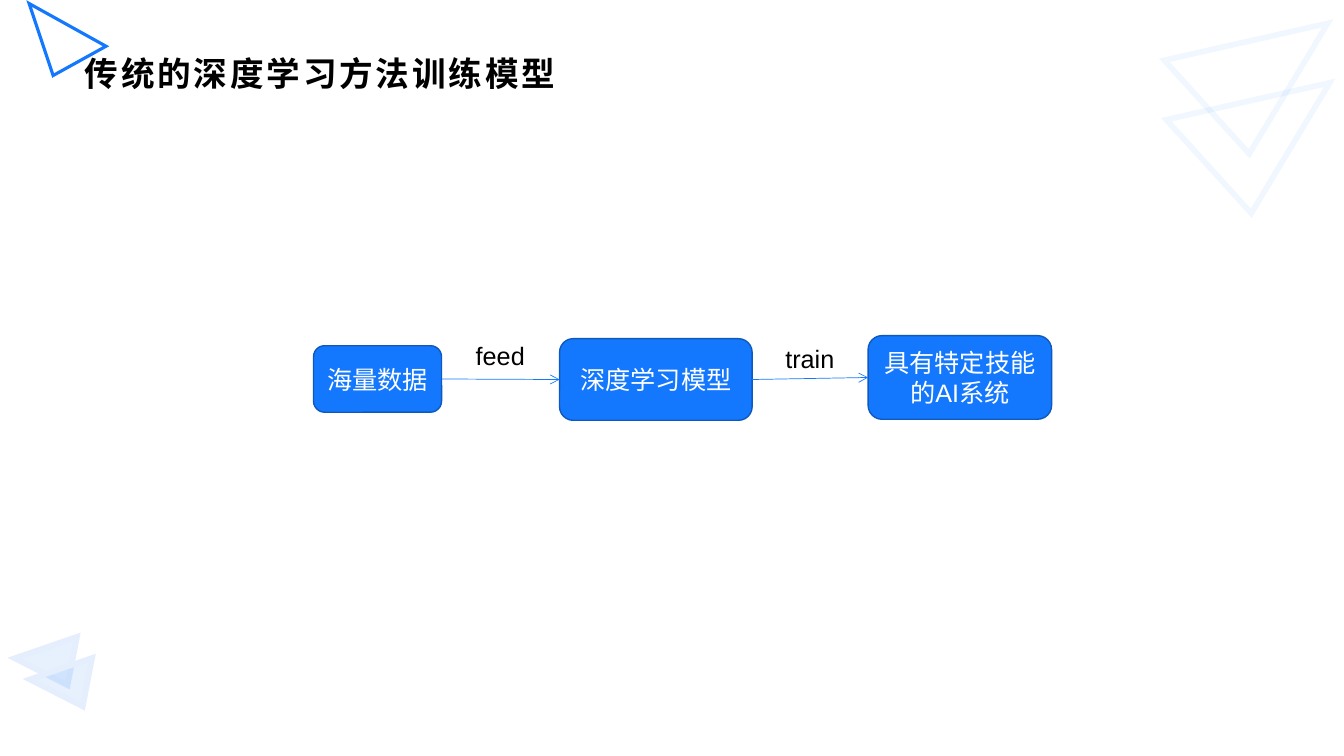
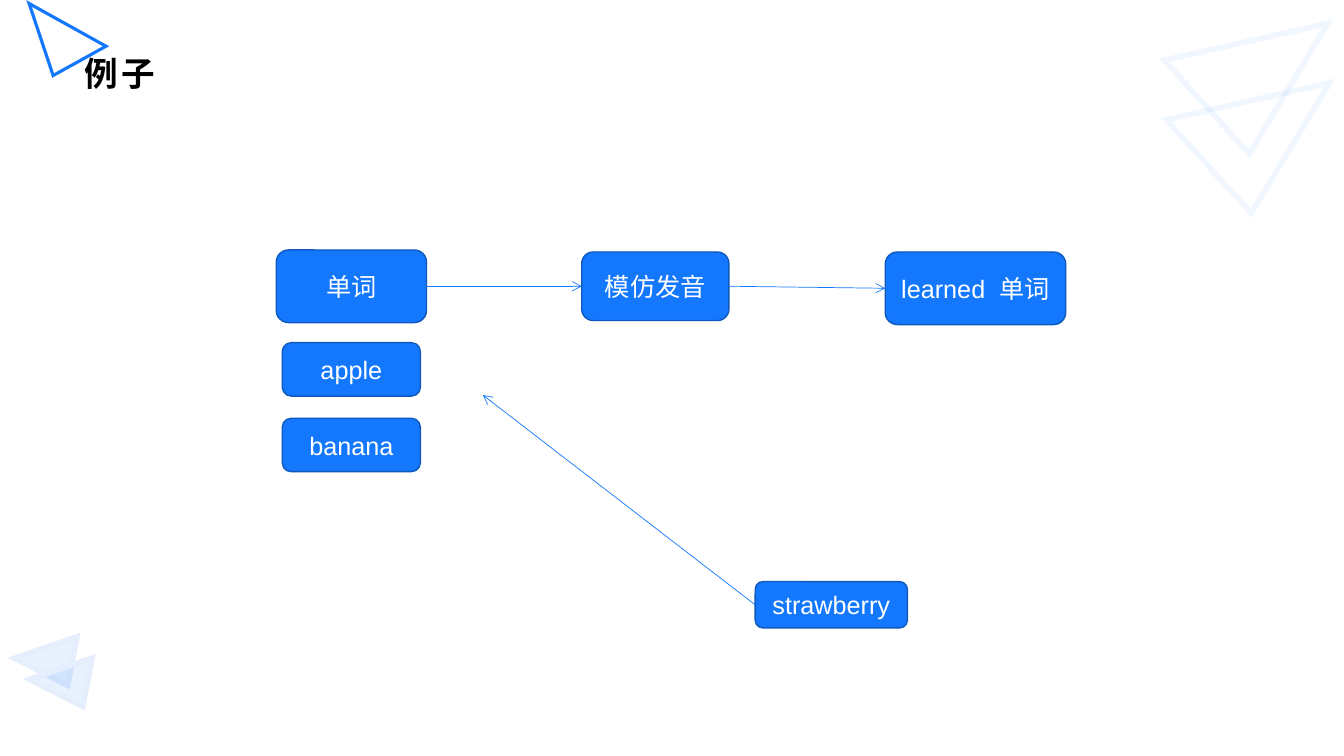
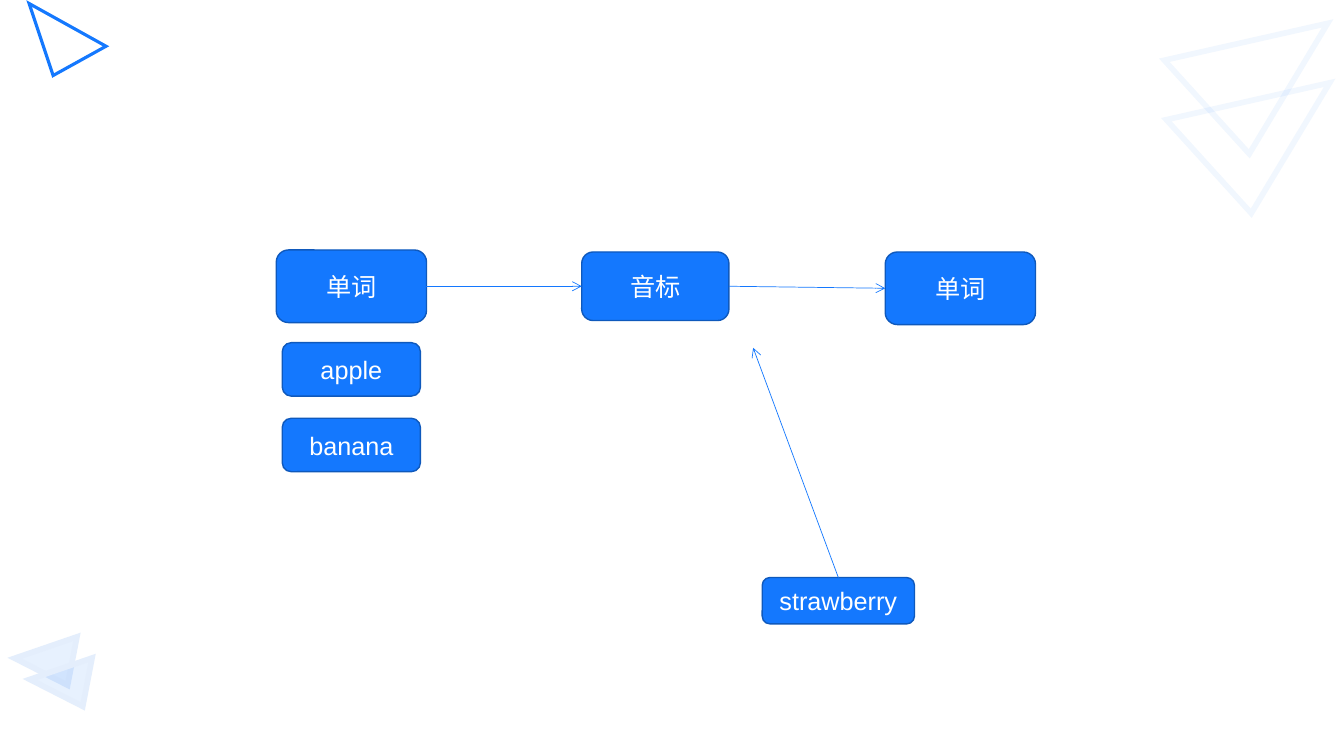
"""Build three slides comparing model training with learning words."""
from dataclasses import dataclass

from pptx import Presentation
from pptx.dml.color import RGBColor
from pptx.enum.shapes import MSO_CONNECTOR as Connector, MSO_SHAPE as Shape
from pptx.enum.text import MSO_ANCHOR as Anchor, PP_ALIGN as Align
from pptx.oxml.ns import qn
from pptx.oxml.xmlchemy import OxmlElement
from pptx.util import Pt

PX = 9144
TOP, LEFT, RIGHT = 0, 1, 3


@dataclass(frozen=True)
class Theme:
    blue: RGBColor = RGBColor(0x14, 0x78, 0xFE)
    navy: RGBColor = RGBColor(0x0F, 0x59, 0xBC)
    pale: RGBColor = RGBColor(0xE4, 0xEE, 0xFC)
    black: RGBColor = RGBColor(0, 0, 0)
    white: RGBColor = RGBColor(255, 255, 255)
    latin: str = "Arial"
    chinese: str = "Noto Sans CJK SC"
    title_size: int = 24
    body_size: int = 18


theme = Theme()


def add_node(parent, tag, **attributes):
    node = OxmlElement(tag)
    for name, value in attributes.items():
        node.set(name, str(value))
    parent.append(node)


def style_text(box, size, color, latin, align=Align.LEFT):
    for para in box.text_frame.paragraphs:
        para.alignment = align
        for span in para.runs:
            span.font.size = Pt(size)
            span.font.color.rgb = color
            span.font.name = latin
            add_node(span.font._element, "a:ea", typeface=theme.chinese)


deck = Presentation()
deck.slide_width, deck.slide_height = 1333 * PX, 750 * PX
blank = deck.slide_layouts[6]

word_boxes = [
    ("单词", 274, 248, 149, 72),
    ("apple", 280, 340, 137, 53),
    ("banana", 280, 415, 137, 53),
]
word_arrows = [(0, RIGHT, 3), (3, RIGHT, 4)]
pages = [
    ("传统的深度学习方法训练模型",
     [("海量数据", 311, 343, 127, 66),
      ("深度学习模型", 555, 336, 191, 81),
      ("具有特定技能的AI系统", 861, 333, 182, 83)],
     [(0, RIGHT, 1), (1, RIGHT, 2)],
     [("feed", 462, 333), ("train", 769, 336)]),
    ("例子",
     word_boxes + [("模仿发音", 577, 250, 146, 68),
                   ("learned  单词", 878, 250, 179, 72),
                   ("strawberry", 749, 577, 151, 46)],
     word_arrows + [(5, LEFT, (479, 392))],
     []),
    (None,
     word_boxes + [("音标", 577, 250, 146, 68),
                   ("单词", 878, 250, 149, 72),
                   ("strawberry", 756, 573, 151, 46)],
     word_arrows + [(5, TOP, (747, 345))],
     []),
]
slides = [deck.slides.add_slide(blank) for _ in pages]

triangles = [
    (31, -9, 60, 74, 331, 0.77, theme.blue, 2.25, None, None),
    (22, 622, 59, 47, 27, 0.77, theme.pale, 4, None, 10),
    (1153, 56, 151, 120, 301, 0.24, theme.blue, 4, 5, None),
    (37, 643, 59, 47, 27, 0.77, theme.pale, 4, None, 10),
    (1151, -3, 151, 120, 301, 0.24, theme.blue, 4, 5, None),
]
for index, (left, top, width, height, turn, apex, color, weight, line_alpha, fill_alpha) in enumerate(triangles):
    triangle = slides[0].shapes.add_shape(Shape.ISOSCELES_TRIANGLE, left * PX, top * PX, width * PX, height * PX)
    triangle.shadow.inherit = False
    triangle.rotation = turn
    triangle.adjustments[0] = apex
    triangle.line.color.rgb = color
    triangle.line.width = Pt(weight)
    properties = triangle.element.spPr
    outline = properties.find(qn("a:ln"))
    add_node(outline, "a:miter", lim=800000)
    if line_alpha:
        add_node(outline.find(".//" + qn("a:srgbClr")), "a:alpha", val=line_alpha * 1000)
    if fill_alpha:
        triangle.fill.solid()
        triangle.fill.fore_color.rgb = theme.blue
        fill = properties.find(qn("a:solidFill"))
        add_node(fill.find(qn("a:srgbClr")), "a:alpha", val=fill_alpha * 1000)
    else:
        triangle.fill.background()
    if index == 0:
        properties.find(qn("a:xfrm")).set("flipH", "1")
    blank.shapes.element.append(triangle.element)

for slide, (title, boxes, arrows, labels) in zip(slides, pages):
    if title:
        heading = slide.shapes.add_textbox(73 * PX, 48 * PX, 1187 * PX, 48 * PX)
        frame = heading.text_frame
        frame.word_wrap = True
        frame.vertical_anchor = Anchor.MIDDLE
        frame.margin_left, frame.margin_right = 11 * PX, 8 * PX
        frame.margin_top = frame.margin_bottom = 4 * PX
        frame.text = title
        style_text(heading, theme.title_size, theme.black, theme.chinese)
        for span in frame.paragraphs[0].runs:
            span.font.bold = True
            span.font._element.set("spc", "200")

    nodes = []
    for text, left, top, width, height in boxes:
        box = slide.shapes.add_shape(Shape.ROUNDED_RECTANGLE, left * PX, top * PX, width * PX, height * PX)
        box.shadow.inherit = False
        box.fill.solid()
        box.fill.fore_color.rgb = theme.blue
        box.line.color.rgb = theme.navy
        box.line.width = Pt(1)
        box.text_frame.word_wrap = True
        box.text_frame.vertical_anchor = Anchor.MIDDLE
        box.text_frame.text = text
        style_text(box, theme.body_size, theme.white, theme.latin, Align.CENTER)
        nodes.append(box)

    for start, side, target in arrows:
        end_x, end_y = target if isinstance(target, tuple) else (0, 0)
        arrow = slide.shapes.add_connector(Connector.STRAIGHT, 0, 0, end_x * PX, end_y * PX)
        arrow.begin_connect(nodes[start], side)
        if isinstance(target, int):
            arrow.end_connect(nodes[target], LEFT)
        arrow.line.color.rgb = theme.blue
        arrow.line.width = Pt(0.5)
        properties = arrow.element.spPr
        add_node(properties.find(qn("a:ln")), "a:tailEnd", type="arrow")
        add_node(properties, "a:effectLst")

    for text, left, top in labels:
        label = slide.shapes.add_textbox(left * PX, top * PX, 69 * PX, 40 * PX)
        label.text_frame.word_wrap = False
        label.text_frame.text = text
        style_text(label, theme.body_size, theme.black, theme.latin)

deck.save("out.pptx")
